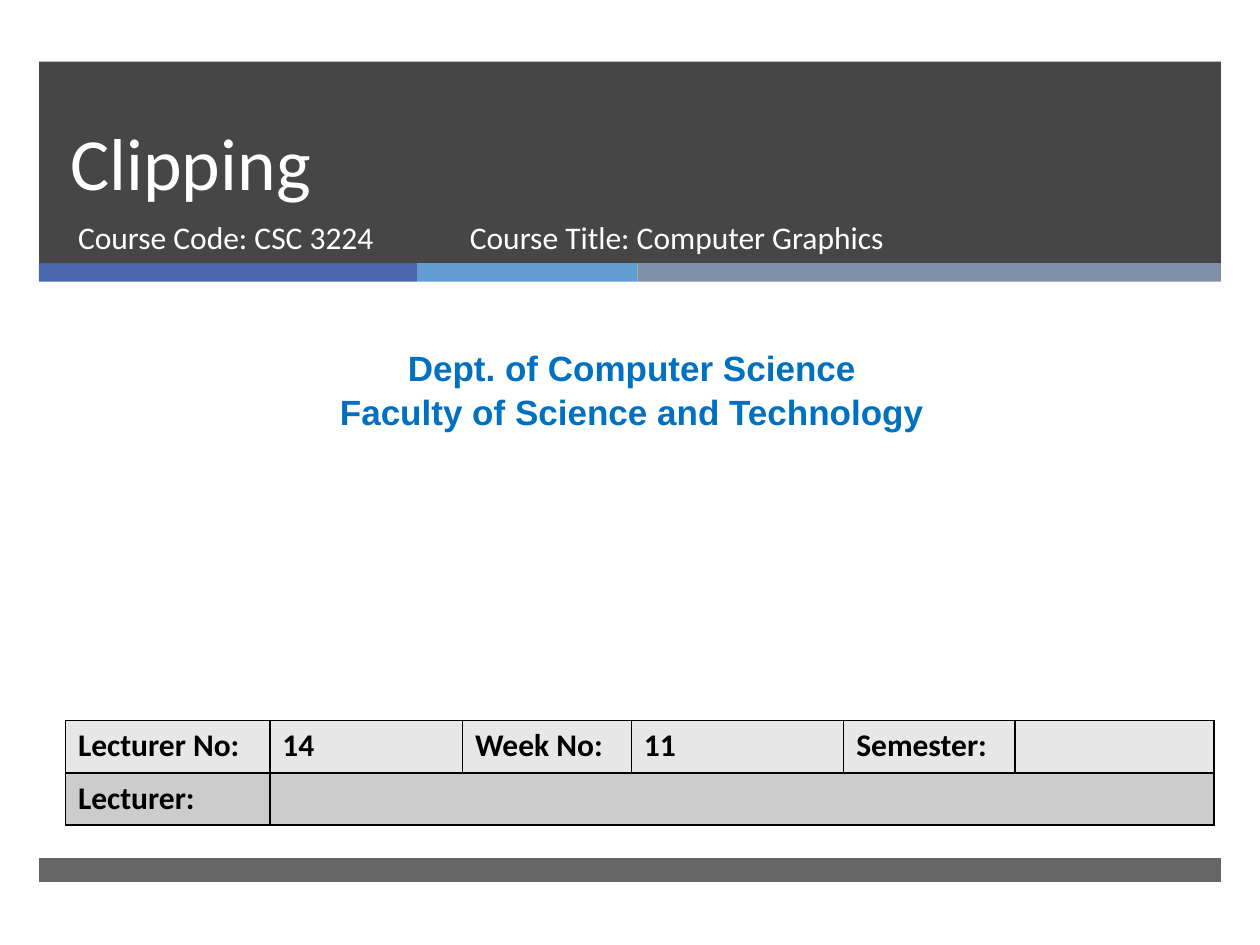
from dataclasses import dataclass

from lxml.etree import SubElement
from pptx import Presentation
from pptx.dml.color import RGBColor
from pptx.enum.shapes import MSO_SHAPE
from pptx.enum.text import MSO_ANCHOR, MSO_AUTO_SIZE, PP_ALIGN
from pptx.oxml.ns import qn
from pptx.util import Pt

WHITE, BLACK, DARK, BLUE = "FFFFFF", "000000", "262626", "0070C0"


@dataclass
class Box:
    left: float
    top: float
    width: float
    height: float

    def lengths(self) -> list:
        return [Pt(value) for value in (self.left, self.top, self.width, self.height)]


@dataclass
class Band:
    box: Box
    color: str
    opacity: int = 100


@dataclass
class TextStyle:
    size: float
    color: str
    font: str = "Calibri"
    bold: bool = False
    align: PP_ALIGN = PP_ALIGN.LEFT
    line_spacing: object = 1.0
    anchor: MSO_ANCHOR = MSO_ANCHOR.TOP


COURSE = TextStyle(18, WHITE)
TITLE = TextStyle(42, WHITE, line_spacing=Pt(46), anchor=MSO_ANCHOR.BOTTOM)
DEPARTMENT = TextStyle(20, BLUE, "Arial", True, PP_ALIGN.CENTER, 1.05)
CELL = TextStyle(18, BLACK, bold=True)

# Full-width bands share one left edge and width; the accents fill it
LEFT, WIDTH = 22.3, 675.4
ACCENTS = [(216, "4A66AC"), (126, "629DD1"), (333.4, "7F8FA9")]

COLUMN_WIDTHS = [116.8, 110.1, 96.5, 121.4, 97.9, 113.8]
ROW_HEIGHT = 29.8
ROWS = [
    ("E7E7E7", ["Lecturer No:", "14", "Week No:", "11", "Semester:", ""]),
    ("CCCCCC", ["Lecturer:", "", "", "", "", ""]),
]


def rgb(color: str) -> RGBColor:
    return RGBColor.from_string(color)


def apply(target: object, values: dict) -> None:
    for name, value in values.items():
        setattr(target, name, value)


def write_text(frame, lines: list[str], style: TextStyle) -> None:
    frame.text = "\n".join(lines)
    for paragraph in frame.paragraphs:
        apply(paragraph, {
            "alignment": style.align, "line_spacing": style.line_spacing,
            "space_before": Pt(0), "space_after": Pt(0),
        })
        apply(paragraph.font, {"size": Pt(style.size)})
        for run in paragraph.runs:
            apply(run.font, {"name": style.font, "size": Pt(style.size), "bold": style.bold})
            run.font.color.rgb = rgb(style.color)


def fill_text_shape(shape, box: Box, lines: list[str], style: TextStyle) -> None:
    apply(shape, dict(zip(("left", "top", "width", "height"), box.lengths())))
    apply(shape.text_frame, {
        "word_wrap": True, "auto_size": MSO_AUTO_SIZE.NONE, "vertical_anchor": style.anchor,
    })
    write_text(shape.text_frame, lines, style)


def add_text(slide, box: Box, lines: list[str], style: TextStyle) -> None:
    fill_text_shape(slide.shapes.add_textbox(*box.lengths()), box, lines, style)


def add_band(slide, band: Band) -> None:
    shape = slide.shapes.add_shape(MSO_SHAPE.RECTANGLE, *band.box.lengths())
    shape.shadow.inherit = False
    shape.line.fill.background()
    shape.fill.solid()
    shape.fill.fore_color.rgb = rgb(band.color)
    if band.opacity < 100:
        color = shape.fill._xPr.find(".//" + qn("a:srgbClr"))
        SubElement(color, qn("a:alpha"), val=str(band.opacity * 1000))


def add_borders(cell) -> None:
    properties = cell._tc.get_or_add_tcPr()
    for side in ("lnL", "lnR", "lnT", "lnB"):
        line = SubElement(properties, qn(f"a:{side}"), w=str(Pt(1)))
        SubElement(SubElement(line, qn("a:solidFill")), qn("a:srgbClr"), val=BLACK)


def add_lecture_table(slide, left: float, top: float) -> None:
    box = Box(left, top, sum(COLUMN_WIDTHS), ROW_HEIGHT * len(ROWS))
    table = slide.shapes.add_table(len(ROWS), len(COLUMN_WIDTHS), *box.lengths()).table
    for column, width in zip(table.columns, COLUMN_WIDTHS):
        column.width = Pt(width)
    for row_index, (color, texts) in enumerate(ROWS):
        table.rows[row_index].height = Pt(ROW_HEIGHT)
        for column_index, text in enumerate(texts):
            cell = table.cell(row_index, column_index)
            add_borders(cell)
            cell.fill.solid()
            cell.fill.fore_color.rgb = rgb(color)
            write_text(cell.text_frame, [text], CELL)
    table.cell(1, 1).merge(table.cell(1, len(COLUMN_WIDTHS) - 1))


def main() -> None:
    presentation = Presentation()
    apply(presentation, {"slide_width": Pt(720), "slide_height": Pt(540)})
    slide = presentation.slides.add_slide(presentation.slide_layouts[0])
    title, subtitle = slide.placeholders

    # Header, accent and footer bands
    add_band(slide, Band(Box(LEFT, 35.2, WIDTH, 115.6), DARK, 85))
    accent_left = LEFT
    for width, color in ACCENTS:
        add_band(slide, Band(Box(accent_left, 150.4, width, 10.6), color))
        accent_left += width
    add_band(slide, Band(Box(LEFT, 490.3, WIDTH, 13.7), DARK, 70))

    # Title and course code, brought in front of the bands
    for placeholder in (title, subtitle):
        slide.shapes._spTree.append(placeholder._element)
    fill_text_shape(title, Box(33.1, 35.2, 614.9, 85.7), ["Clipping"], TITLE)
    fill_text_shape(subtitle, Box(37.4, 121, 219.6, 38.2), ["Course Code: CSC 3224"], COURSE)

    # Department, lecture details and course title
    add_text(slide, Box(5.8, 193, 710.6, 55.4),
             ["Dept. of Computer Science", "Faculty of Science and Technology"], DEPARTMENT)
    add_lecture_table(slide, 37.4, 411.8)
    add_text(slide, Box(261.4, 121.3, 327.6, 38.2), ["Course Title: Computer Graphics"], COURSE)

    presentation.save("out.pptx")


if __name__ == "__main__":
    main()
